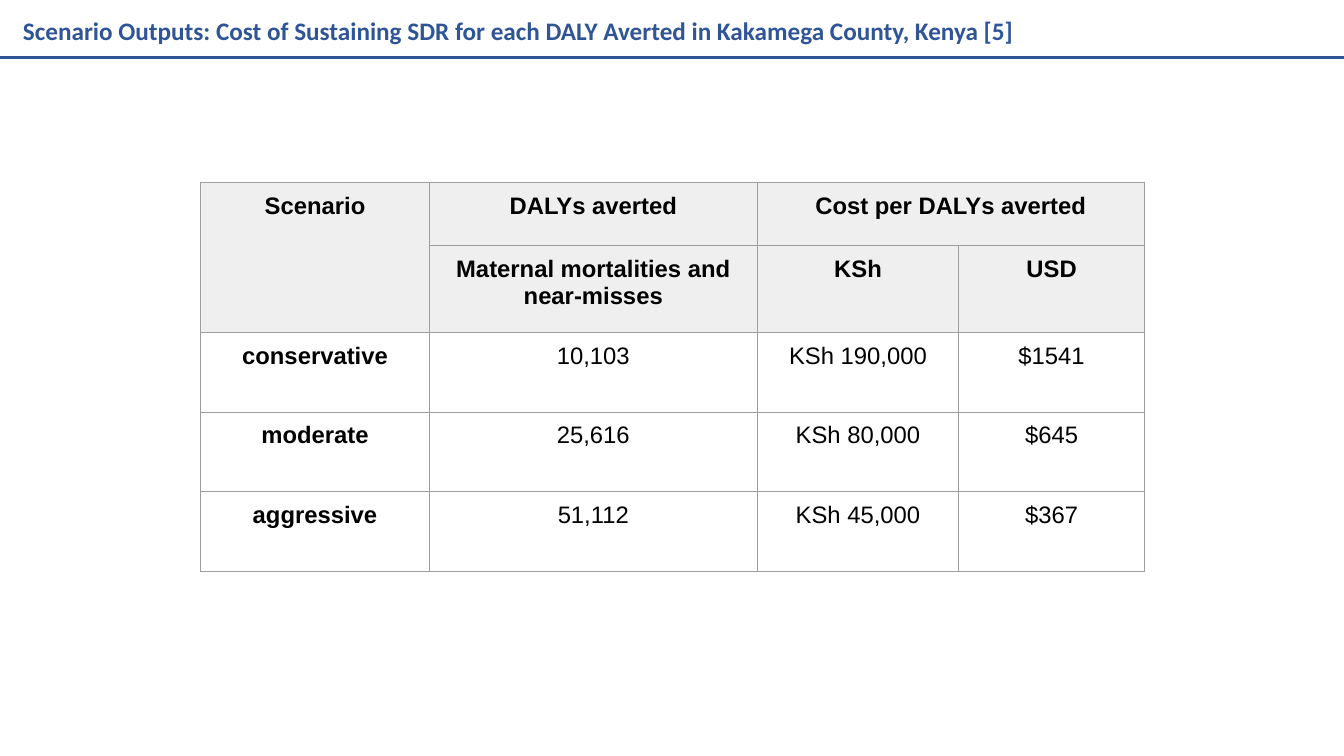
from lxml import etree
from pptx import Presentation
from pptx.dml.color import RGBColor
from pptx.enum.shapes import MSO_CONNECTOR
from pptx.enum.text import MSO_AUTO_SIZE, PP_ALIGN
from pptx.oxml.ns import qn
from pptx.util import Inches, Pt

STRAIGHT = MSO_CONNECTOR.STRAIGHT
LEFT, CENTER = PP_ALIGN.LEFT, PP_ALIGN.CENTER
GROW = MSO_AUTO_SIZE.SHAPE_TO_FIT_TEXT

COLORS = {
    "blue": "2F5597",
    "black": "000000",
    "white": "FFFFFF",
    "header": "EFEFEF",
    "border": "9E9E9E",
}
COLUMN_WIDTHS = [2.27, 3.25, 2, 1.84]
ROW_HEIGHTS = [0.63, 0.86, 0.79, 0.79, 0.79]
HEADER_ROWS = 2
ROWS = [
    ["Scenario", "DALYs averted", "Cost per DALYs averted", ""],
    ["", "Maternal mortalities and near-misses", "KSh", "USD"],
    ["conservative", "10,103", "KSh 190,000", "$1541"],
    ["moderate", "25,616", "KSh 80,000", "$645"],
    ["aggressive", "51,112", "KSh 45,000", "$367"],
]


def color(name):
    return RGBColor.from_string(COLORS[name])


def write_text(frame, text, font="Arial", size=17, ink="black", bold=False, align=CENTER):
    para = frame.paragraphs[0]
    para.alignment = align
    span = para.add_run()
    span.text = text
    span.font.name = font
    span.font.size = Pt(size)
    span.font.bold = bold
    span.font.color.rgb = color(ink)


def add_title(page, text):
    box = page.shapes.add_textbox(Inches(0.13), Inches(0.1), Inches(13.07), Inches(0.4))
    box.text_frame.word_wrap = True
    box.text_frame.auto_size = GROW
    write_text(box.text_frame, text, font="Calibri", size=18, ink="blue", bold=True, align=LEFT)


def add_rule(page, top, width):
    rule = page.shapes.add_connector(STRAIGHT, 0, top, width, top)
    rule.line.color.rgb = color("blue")
    rule.line.width = Pt(2.25)
    etree.SubElement(rule._element.spPr, qn("a:effectLst"))


def draw_borders(cell):
    properties = cell._tc.get_or_add_tcPr()
    for side in ("a:lnL", "a:lnR", "a:lnT", "a:lnB"):
        line = etree.SubElement(properties, qn(side), w=str(Pt(0.75)))
        fill = etree.SubElement(line, qn("a:solidFill"))
        etree.SubElement(fill, qn("a:srgbClr"), val=COLORS["border"])


def format_cell(cell, fill):
    cell.margin_left = cell.margin_right = Inches(0.1)
    cell.margin_top = cell.margin_bottom = Inches(0.1)
    draw_borders(cell)
    cell.fill.solid()
    cell.fill.fore_color.rgb = color(fill)


def add_cost_table(page):
    table = page.shapes.add_table(
        len(ROWS), len(COLUMN_WIDTHS), Inches(1.99), Inches(1.81),
        Inches(sum(COLUMN_WIDTHS)), Inches(sum(ROW_HEIGHTS)),
    ).table
    table.first_row = table.horz_banding = False
    for column, width in zip(table.columns, COLUMN_WIDTHS):
        column.width = Inches(width)
    for row, height in zip(table.rows, ROW_HEIGHTS):
        row.height = Inches(height)

    for r, texts in enumerate(ROWS):
        is_header = r < HEADER_ROWS
        for c, text in enumerate(texts):
            cell = table.cell(r, c)
            format_cell(cell, "header" if is_header else "white")
            if text:
                write_text(cell.text_frame, text, bold=is_header or c == 0)

    table.cell(0, 0).merge(table.cell(1, 0))
    table.cell(0, 2).merge(table.cell(0, 3))


def main():
    deck = Presentation()
    deck.slide_width, deck.slide_height = Inches(13.33), Inches(7.5)
    page = deck.slides.add_slide(deck.slide_layouts[6])
    add_title(
        page,
        "Scenario Outputs: Cost of Sustaining SDR for each DALY Averted "
        "in Kakamega County, Kenya [5]",
    )
    add_rule(page, Inches(0.57), deck.slide_width)
    add_cost_table(page)
    deck.save("out.pptx")


if __name__ == "__main__":
    main()
